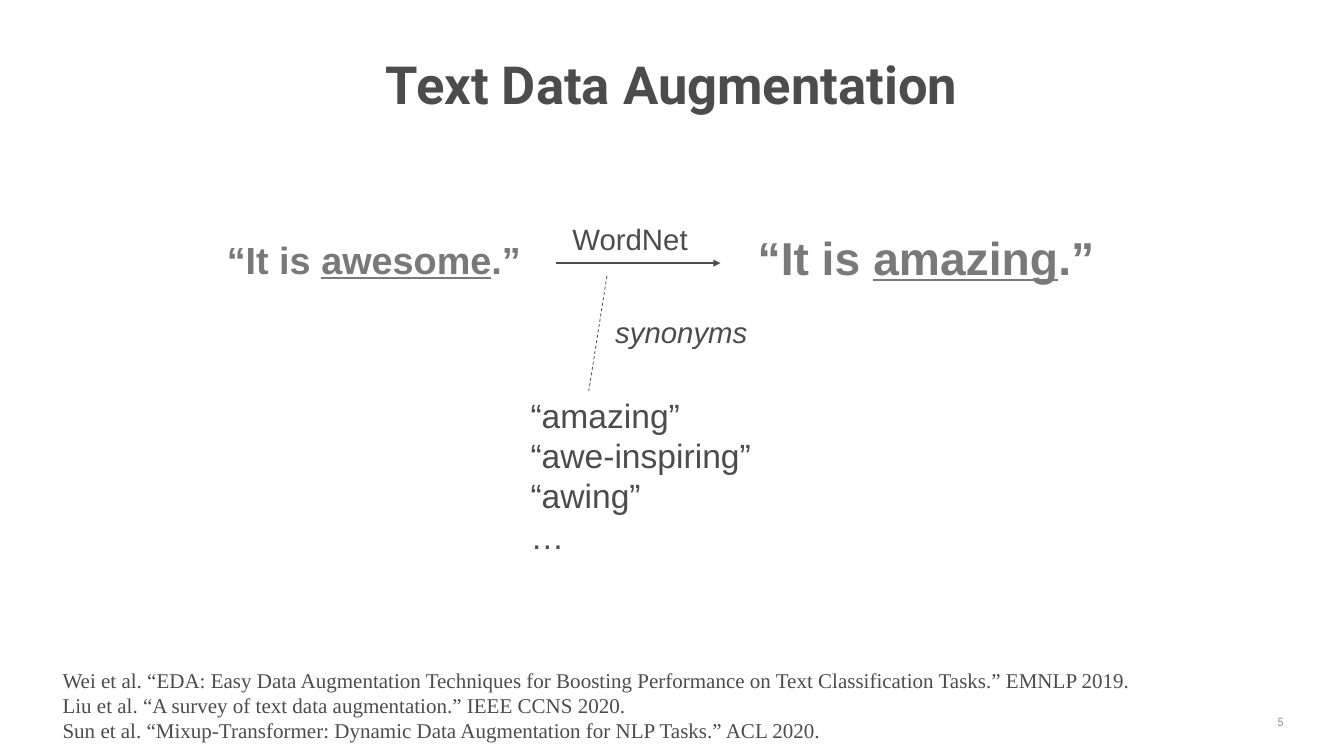
"""Build the Text Data Augmentation slide: a WordNet synonym replacement diagram with references."""
from lxml import etree
from pptx import Presentation
from pptx.dml.color import RGBColor
from pptx.enum.dml import MSO_LINE
from pptx.enum.shapes import MSO_CONNECTOR
from pptx.enum.text import MSO_ANCHOR, PP_ALIGN
from pptx.oxml.ns import qn
from pptx.util import Inches, Pt

LEFT, CENTER, RIGHT = PP_ALIGN.LEFT, PP_ALIGN.CENTER, PP_ALIGN.RIGHT
TOP, MIDDLE = MSO_ANCHOR.TOP, MSO_ANCHOR.MIDDLE
STRAIGHT, DASH = MSO_CONNECTOR.STRAIGHT, MSO_LINE.DASH

COLORS = {"ink": "4C4C4C", "sentence": "797979", "number": "969696"}
NARROW, WIDE = (0.1, 0.05), (0.16, 0.08)

prs = Presentation()
prs.slide_width, prs.slide_height = Inches(17.78), Inches(10)
column, row = prs.slide_width / 100, prs.slide_height / 100
slide = prs.slides.add_slide(prs.slide_layouts[6])


def add_text(place, paragraphs, font, color="ink", align=LEFT, anchor=TOP, inset=NARROW, wrap=True, spacing=1.0):
    left, top, width, height = place
    box = slide.shapes.add_textbox(
        round(left * column), round(top * row), round(width * column), round(height * row))
    frame = box.text_frame
    side, edge = Inches(inset[0]), Inches(inset[1])
    layout = {"word_wrap": wrap, "vertical_anchor": anchor, "margin_left": side,
              "margin_right": side, "margin_top": edge, "margin_bottom": edge}
    for key, value in layout.items():
        setattr(frame, key, value)
    for index, pieces in enumerate(paragraphs):
        paragraph = frame.add_paragraph() if index else frame.paragraphs[0]
        paragraph.alignment, paragraph.line_spacing = align, spacing
        for text, underlined in pieces:
            run = paragraph.add_run()
            run.text = text
            for key, value in (font | {"underline": underlined}).items():
                setattr(run.font, key, value)
            run.font.color.rgb = RGBColor.from_string(COLORS[color])


def plain(*lines):
    return [[(line, False)] for line in lines]


add_text((5, 8.4, 90, 6.8), plain("Text Data Augmentation"),
         {"name": "Roboto", "size": Pt(50), "bold": True},
         align=CENTER, anchor=MIDDLE, inset=WIDE, spacing=0.8)
add_text((92.97, 94.2, 3.43, 2.6), plain("5"), {"name": "Roboto", "size": Pt(11)},
         color="number", align=RIGHT, anchor=MIDDLE, inset=WIDE)

references = plain(
    "Wei et al. “EDA: Easy Data Augmentation Techniques for Boosting Performance on Text Classification Tasks.” EMNLP 2019.",
    "Liu et al. “A survey of text data augmentation.” IEEE CCNS 2020.",
    "Sun et al. “Mixup-Transformer: Dynamic Data Augmentation for NLP Tasks.” ACL 2020.",
)
add_text((4.1, 87.8, 90.16, 11.1), references, {"name": "Times New Roman", "size": Pt(20)})

sentences = [
    ("awesome", 36, (16.2, 30.8, 23.23, 7.1)),
    ("amazing", 44, (55.68, 29.8, 26.43, 8.4)),
]
for word, size, place in sentences:
    add_text(place, [[("“It is ", False), (word, True), (".”", False)]],
             {"name": "Arial", "size": Pt(size), "bold": True},
             color="sentence", align=CENTER, wrap=False)

label = {"name": "Arial", "size": Pt(28)}
add_text((41.73, 28.7, 10.29, 5.7), plain("WordNet"), label, align=CENTER)
add_text((45.22, 41.1, 11.19, 5.7), plain("synonyms"), label | {"italic": True})
add_text((38.92, 51.7, 17.66, 22.6), plain("“amazing”", "“awe-inspiring”", "“awing”", "…"),
         {"name": "Arial", "size": Pt(32)}, wrap=False)

links = [
    ((41.34, 34.8), (53.6, 34.8), {"width": Pt(2.25)}, True),
    ((45.16, 36.5), (43.81, 51.7), {"width": Pt(0.75), "dash_style": DASH}, False),
]
for start, end, stroke, pointed in links:
    link = slide.shapes.add_connector(
        STRAIGHT, round(start[0] * column), round(start[1] * row),
        round(end[0] * column), round(end[1] * row))
    link.line.color.rgb = RGBColor.from_string(COLORS["ink"])
    for key, value in stroke.items():
        setattr(link.line, key, value)
    if pointed:
        etree.SubElement(link.line._get_or_add_ln(), qn("a:tailEnd"), type="triangle")
    etree.SubElement(link._element.spPr, qn("a:effectLst"))

prs.save("out.pptx")
